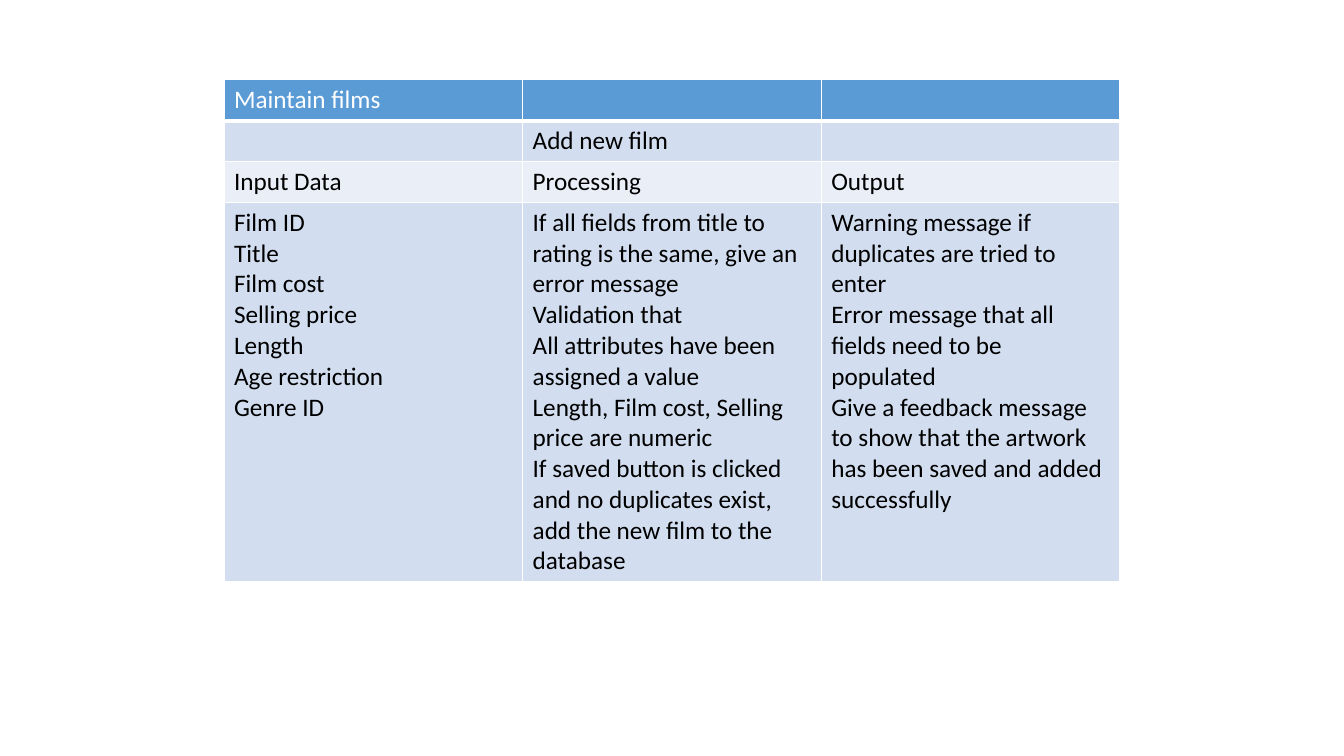
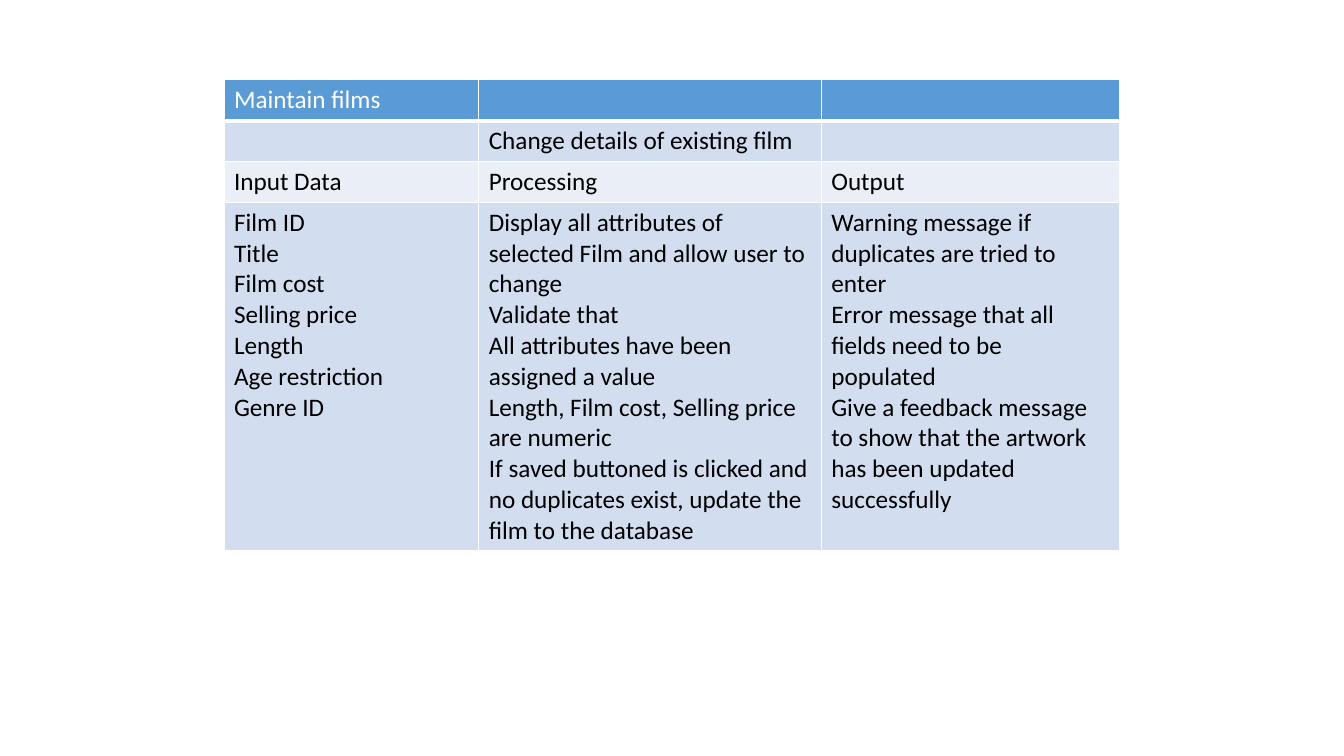
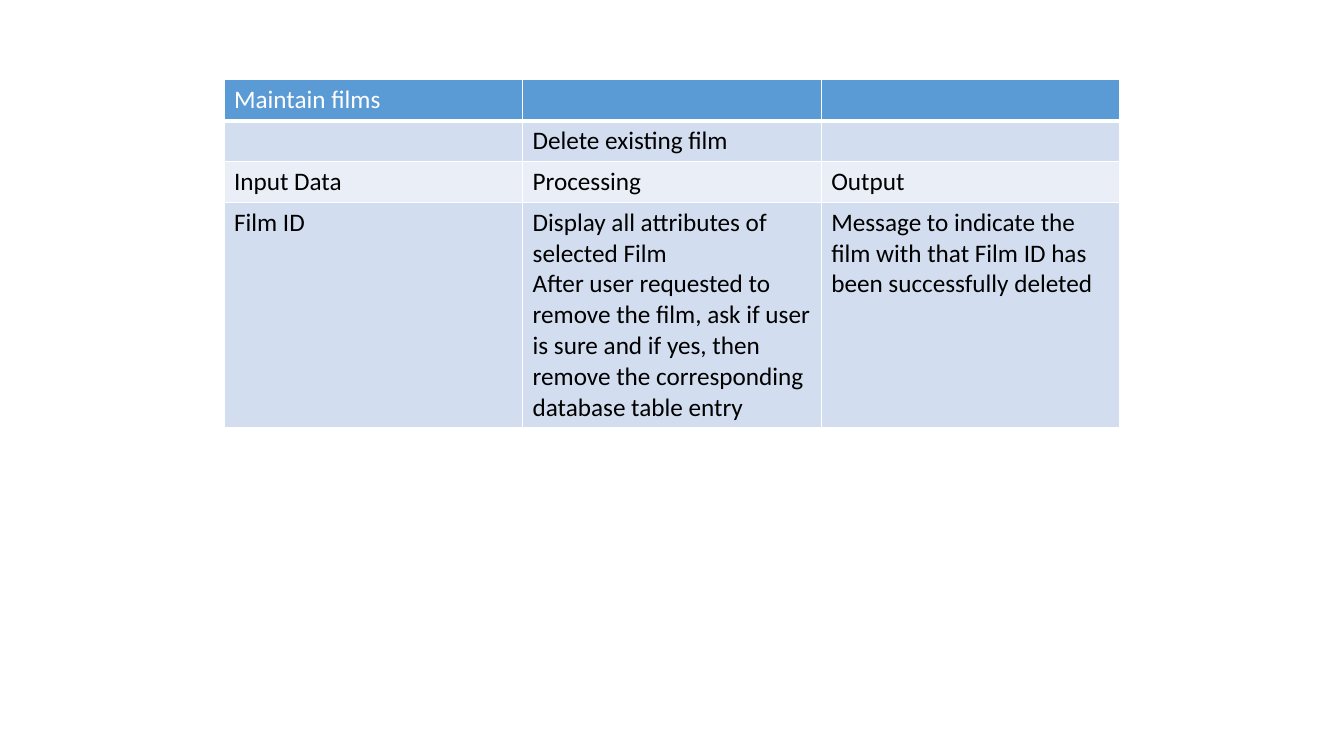
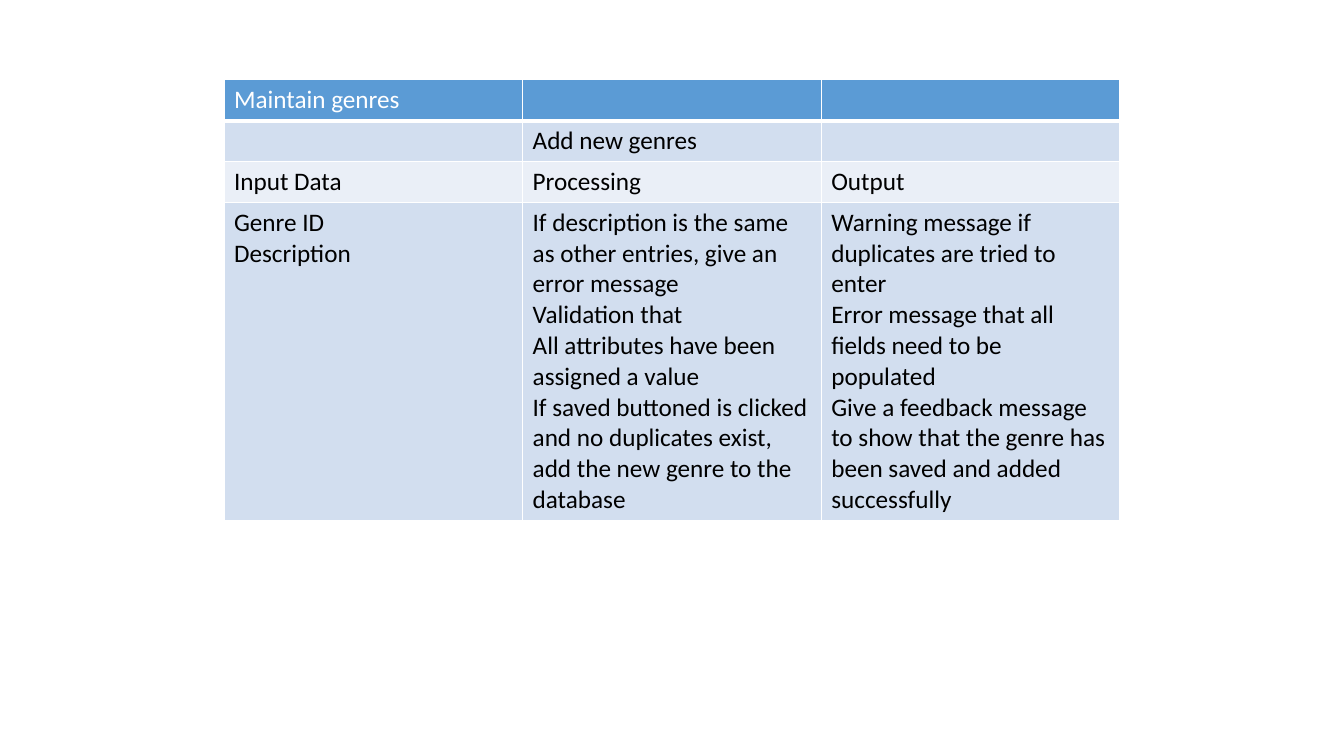
from lxml.etree import SubElement
from pptx import Presentation
from pptx.dml.color import RGBColor
from pptx.oxml.ns import qn
from pptx.util import Pt

WHITE = RGBColor(0xFF, 0xFF, 0xFF)
BLACK = RGBColor(0x00, 0x00, 0x00)
BLUE = RGBColor(0x5B, 0x9B, 0xD5)
BAND = RGBColor(0xD2, 0xDE, 0xEF)
PALE = RGBColor(0xEA, 0xEF, 0xF7)

PAGE_WIDTH, PAGE_HEIGHT = 960, 540
TABLE_LEFT, TABLE_TOP, TABLE_WIDTH = 160, 57, 640
ROW_HEIGHT = 29.2
THIRD = TABLE_WIDTH / 3
EVEN_COLUMNS = (THIRD, THIRD, THIRD)
WIDE_MIDDLE = (182, TABLE_WIDTH - 182 - THIRD, THIRD)


class Deck:
    font = "Calibri"
    size = 18
    row_fills = (BLUE, BAND, PALE, BAND)

    def __init__(self):
        self.deck = Presentation()
        self.deck.slide_width = Pt(PAGE_WIDTH)
        self.deck.slide_height = Pt(PAGE_HEIGHT)
        self.page = None

    def add_page(self):
        self.page = self.deck.slides.add_slide(self.deck.slide_layouts[6])

    def add_text(self, frame, lines, color):
        for index, line in enumerate(lines):
            para = frame.paragraphs[0] if index == 0 else frame.add_paragraph()
            span = para.add_run()
            span.text = line
            span.font.name = self.font
            span.font.size = Pt(self.size)
            span.font.color.rgb = color

    def add_borders(self, cell, bottom):
        properties = cell._tc.get_or_add_tcPr()
        widths = {"a:lnL": 1, "a:lnR": 1, "a:lnT": 1, "a:lnB": bottom}
        for position, (tag, width) in enumerate(widths.items()):
            line = SubElement(properties, qn(tag), w=str(Pt(width)))
            fill = SubElement(line, qn("a:solidFill"))
            SubElement(fill, qn("a:srgbClr"), val=str(WHITE))
            properties.insert(position, line)

    def add_table(self, rows, widths):
        frame = self.page.shapes.add_table(
            len(rows), len(widths), Pt(TABLE_LEFT), Pt(TABLE_TOP),
            Pt(TABLE_WIDTH), Pt(ROW_HEIGHT * len(rows)))
        table = frame.table
        for column, width in zip(table.columns, widths):
            column.width = Pt(width)
        for row_index, (row, texts) in enumerate(zip(table.rows, rows)):
            row.height = Pt(ROW_HEIGHT)
            heading = row_index == 0
            for cell, lines in zip(row.cells, texts):
                cell.fill.solid()
                cell.fill.fore_color.rgb = self.row_fills[row_index]
                self.add_borders(cell, 3 if heading else 1)
                self.add_text(cell.text_frame, lines, WHITE if heading else BLACK)

    def add_process(self, subject, task, inputs, steps, outputs, widths=EVEN_COLUMNS):
        self.add_page()
        self.add_table([
            ([subject], [], []),
            ([], [task], []),
            (["Input Data"], ["Processing"], ["Output"]),
            (inputs, steps, outputs),
        ], widths)

    def save(self):
        self.deck.save("out.pptx")


FILM_FIELDS = ["Film ID", "Title", "Film cost", "Selling price", "Length",
               "Age restriction", "Genre ID"]
ALL_ASSIGNED = "All attributes have been assigned a value"
NUMERIC = "Length, Film cost, Selling price are numeric"
WARNINGS = ["Warning message if duplicates are tried to enter",
            "Error message that all fields need to be populated"]


def feedback(result):
    return WARNINGS + [f"Give a feedback message to show that the {result} successfully"]


deck = Deck()

deck.add_process(
    "Maintain films", "Add new film", FILM_FIELDS,
    ["If all fields from title to rating is the same, give an error message",
     "Validation that", ALL_ASSIGNED, NUMERIC,
     "If saved button is clicked and no duplicates exist, add the new film to the database"],
    feedback("artwork has been saved and added"))

deck.add_process(
    "Maintain films", "Change details of existing film", FILM_FIELDS,
    ["Display all attributes of selected Film and allow user to change",
     "Validate that", ALL_ASSIGNED, NUMERIC,
     "If saved buttoned is clicked and no duplicates exist, update the film to the database"],
    feedback("artwork has been updated"), WIDE_MIDDLE)

deck.add_process(
    "Maintain films", "Delete existing film", ["Film ID"],
    ["Display all attributes of selected Film",
     "After user requested to remove the film, ask if user is sure and if yes, "
     "then remove the corresponding database table entry"],
    ["Message to indicate the film with that Film ID has been successfully deleted"])

deck.add_process(
    "Maintain genres", "Add new genres", ["Genre ID", "Description"],
    ["If description is the same as other entries, give an error message",
     "Validation that", ALL_ASSIGNED,
     "If saved buttoned is clicked and no duplicates exist, add the new genre to the database"],
    feedback("genre has been saved and added"))

deck.save()
